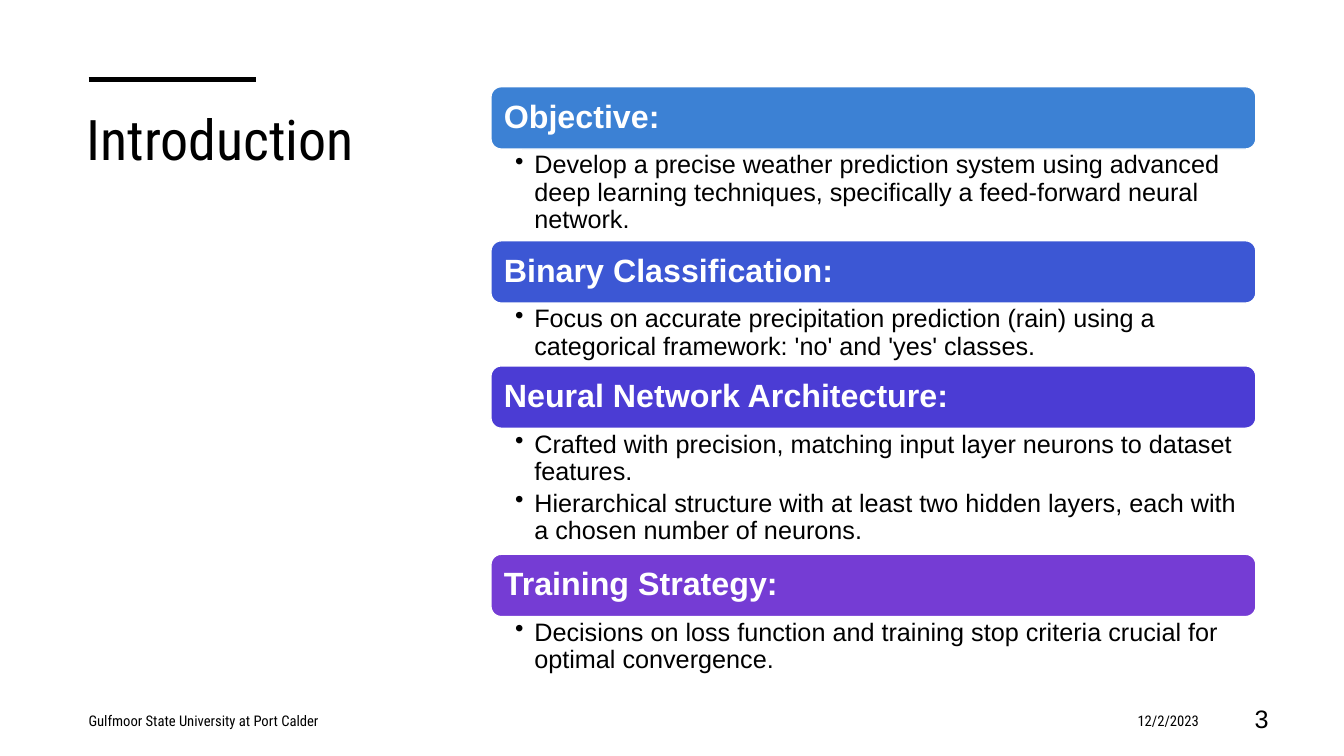
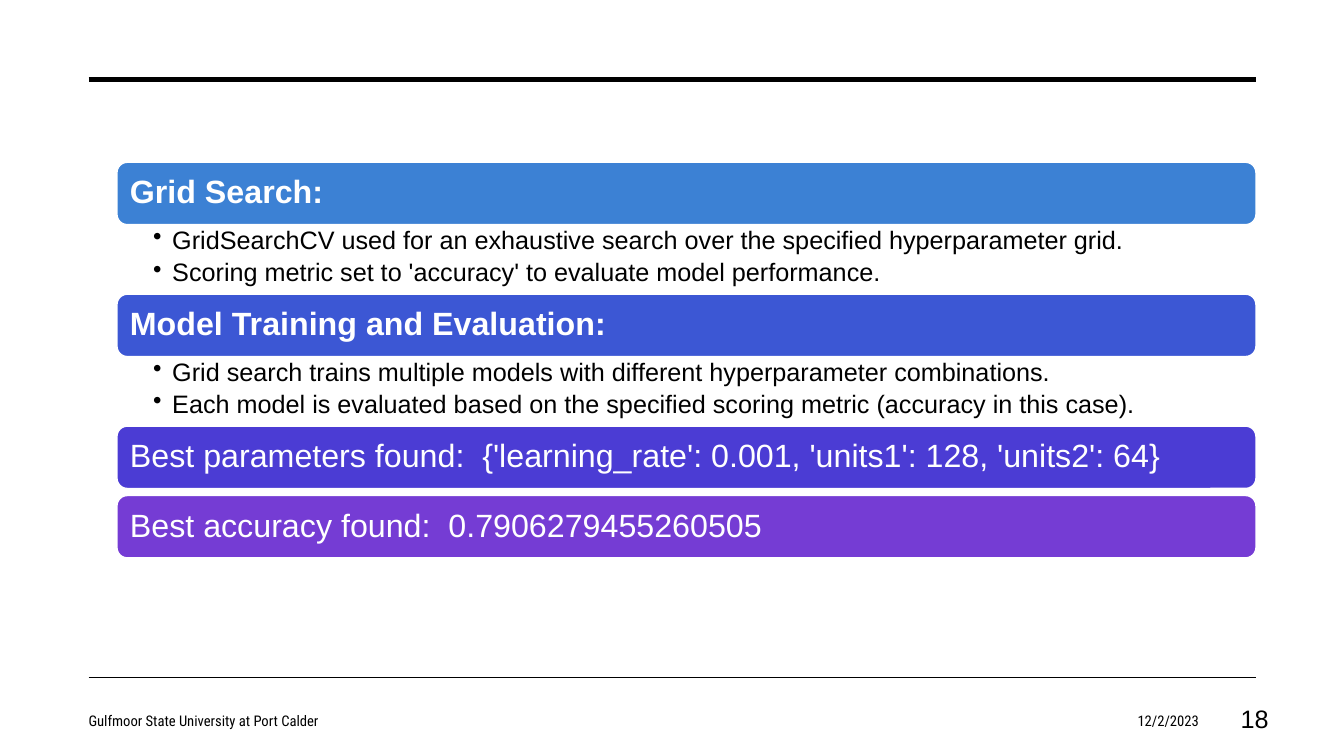
from dataclasses import dataclass

from lxml import etree
from pptx import Presentation
from pptx import util as u
from pptx.dml.color import RGBColor
from pptx.enum import shapes, text
from pptx.oxml import ns

SLIDE_WIDTH, SLIDE_HEIGHT = u.Inches(13.33), u.Inches(7.5)


@dataclass(frozen=True)
class Theme:
    ink: str = "000000"
    paper: str = "FFFFFF"
    bars: tuple = ("3C81D4", "3C57D4", "4B3CD4", "753CD4")
    display: str = "Roboto Condensed"
    body: str = "Arial"
    title_size: float = 40
    heading_size: float = 23
    bullet_size: float = 18
    footer_size: float = 10.5
    thick: float = 3.5
    thin: float = 1


@dataclass(frozen=True)
class Box:
    """A region, in percent of the slide's width and height."""
    left: float
    top: float
    width: float
    height: float

    def emu(self):
        return (across(self.left), down(self.top),
                across(self.width), down(self.height))


@dataclass(frozen=True)
class Section:
    """A coloured bar and the bullets under it; room is the height below the bar."""
    heading: str
    room: float
    bullets: tuple = ()


THEME = Theme()
LEFT_EDGE, RIGHT_EDGE = 6.6, 93.45
TOP_RULE, BOTTOM_RULE = 10.53, 89.6
BAR_HEIGHT = 8.25
BULLET_INDENT = 0.19
TITLE_BOX = Box(5.7, 13.2, 23.1, 58)
FOOTER_BOX = Box(0, 92.67, 100, 5.33)
OWNER, DATE = "Gulfmoor State University at Port Calder", "12/2/2023"

INTRODUCTION = (
    Section("Objective:", 12.13, (
        "Develop a precise weather prediction system using advanced deep learning "
        "techniques, specifically a feed-forward neural network.",)),
    Section("Binary Classification:", 8.3, (
        "Focus on accurate precipitation prediction (rain) using a categorical "
        "framework: 'no' and 'yes' classes.",)),
    Section("Neural Network Architecture:", 16.67, (
        "Crafted with precision, matching input layer neurons to dataset features.",
        "Hierarchical structure with at least two hidden layers, each with a chosen "
        "number of neurons.")),
    Section("Training Strategy:", 8.3, (
        "Decisions on loss function and training stop criteria crucial for optimal "
        "convergence.",)),
)
GRID_SEARCH = (
    Section("Grid Search:", 9.2, (
        "GridSearchCV used for an exhaustive search over the specified "
        "hyperparameter grid.",
        "Scoring metric set to 'accuracy' to evaluate model performance.")),
    Section("Model Training and Evaluation:", 9.2, (
        "Grid search trains multiple models with different hyperparameter "
        "combinations.",
        "Each model is evaluated based on the specified scoring metric (accuracy in "
        "this case).")),
    Section("Best parameters found:  {'learning_rate': 0.001, 'units1': 128, "
            "'units2': 64}", 0.93),
    Section("Best accuracy found:  0.7906279455260505", 0.93),
)


def across(share):
    return round(SLIDE_WIDTH * share / 100)


def down(share):
    return round(SLIDE_HEIGHT * share / 100)


def assign(target, values):
    for name, value in values.items():
        setattr(target, name, value)


def write(shape, lines, size, font, color=THEME.ink, bold=False,
          anchor=text.MSO_ANCHOR.MIDDLE, insets=(0.1, 0.05, 0.1, 0.05), **para_format):
    """Fill a shape with one paragraph per line; insets run left, top, right, bottom."""
    frame = shape.text_frame
    sides = ("margin_left", "margin_top", "margin_right", "margin_bottom")
    assign(frame, {"word_wrap": True, "vertical_anchor": anchor,
                   **{side: u.Inches(inset) for side, inset in zip(sides, insets)}})
    para_format = {"alignment": text.PP_ALIGN.LEFT, **para_format}
    for index, line in enumerate(lines):
        para = frame.add_paragraph() if index else frame.paragraphs[0]
        assign(para, para_format)
        span = para.add_run()
        span.text = line
        assign(span.font, {"size": u.Pt(size), "name": font, "bold": bold})
        span.font.color.rgb = RGBColor.from_string(color)
    return frame


def add_text(page, box, lines, *args, **kwargs):
    return write(page.shapes.add_textbox(*box.emu()), lines, *args, **kwargs)


def add_rule(page, left, right, top, weight):
    rule = page.shapes.add_connector(
        shapes.MSO_CONNECTOR.STRAIGHT,
        across(left), down(top), across(right), down(top))
    rule.line.color.rgb = RGBColor.from_string(THEME.ink)
    rule.line.width = u.Pt(weight)
    etree.SubElement(rule.element.spPr, ns.qn("a:effectLst"))


def add_bar(page, box, heading, color, bold):
    bar = page.shapes.add_shape(shapes.MSO_SHAPE.ROUNDED_RECTANGLE, *box.emu())
    bar.shadow.inherit = False
    bar.fill.solid()
    bar.fill.fore_color.rgb = RGBColor.from_string(color)
    bar.line.color.rgb = RGBColor.from_string(THEME.paper)
    bar.line.width = u.Pt(THEME.thin)
    write(bar, [heading], THEME.heading_size, THEME.body, THEME.paper, bold,
          insets=(0.1, 0.1, 0.1, 0.1), line_spacing=0.9)


def add_bullets(page, box, lines):
    indent = box.emu()[2] / u.Inches(1) * 0.0317
    frame = add_text(page, box, lines, THEME.bullet_size, THEME.body,
                     anchor=text.MSO_ANCHOR.TOP, insets=(indent, 0.03, 0.18, 0.03),
                     level=1, line_spacing=0.9,
                     space_after=u.Pt(THEME.bullet_size * 0.2))
    hang = u.Inches(BULLET_INDENT)
    for para in frame.paragraphs:
        layout = para._p.get_or_add_pPr()
        layout.set("marL", str(hang))
        layout.set("indent", str(-hang))
        etree.SubElement(layout, ns.qn("a:buChar"), char="•")


def add_sections(page, left, top, sections):
    """Stack the sections from the top, each reaching the right margin."""
    width = RIGHT_EDGE - left
    for section, color in zip(sections, THEME.bars):
        add_bar(page, Box(left, top, width, BAR_HEIGHT), section.heading, color,
                bold=bool(section.bullets))
        top += BAR_HEIGHT
        if section.bullets:
            add_bullets(page, Box(left, top, width, section.room), section.bullets)
        top += section.room


def add_footer(page, box, number):
    right = text.PP_ALIGN.RIGHT
    small = (THEME.footer_size, THEME.display)
    cells = (
        (5.85, 37.2, OWNER, small, {}),
        (68.64, 21.3, DATE, small, {"alignment": right}),
        (89.57, 5.55, str(number), (THEME.bullet_size, THEME.body),
         {"alignment": right, "line_spacing": 0.9}),
    )
    for left, width, label, style, para_format in cells:
        cell = Box(box.left + left, box.top, width, box.height)
        add_text(page, cell, [label], *style, **para_format)


def add_page(deck, number):
    page = deck.slides.add_slide(deck.slide_layouts[6])
    add_footer(page, FOOTER_BOX, number)
    return page


def add_titled_page(deck, number, title, sections):
    page = add_page(deck, number)
    add_rule(page, LEFT_EDGE, 19.05, TOP_RULE, THEME.thick)
    add_text(page, TITLE_BOX, [title], THEME.title_size, THEME.display,
             anchor=text.MSO_ANCHOR.TOP)
    add_sections(page, 36.53, 11.47, sections)


def add_wide_page(deck, number, sections):
    page = add_page(deck, number)
    add_rule(page, LEFT_EDGE, RIGHT_EDGE, TOP_RULE, THEME.thick)
    add_rule(page, LEFT_EDGE, RIGHT_EDGE, BOTTOM_RULE, THEME.thin)
    add_sections(page, 8.7, 21.47, sections)


def main():
    deck = Presentation()
    assign(deck, {"slide_width": SLIDE_WIDTH, "slide_height": SLIDE_HEIGHT})
    add_titled_page(deck, 3, "Introduction", INTRODUCTION)
    add_wide_page(deck, 18, GRID_SEARCH)
    deck.save("out.pptx")


if __name__ == "__main__":
    main()
